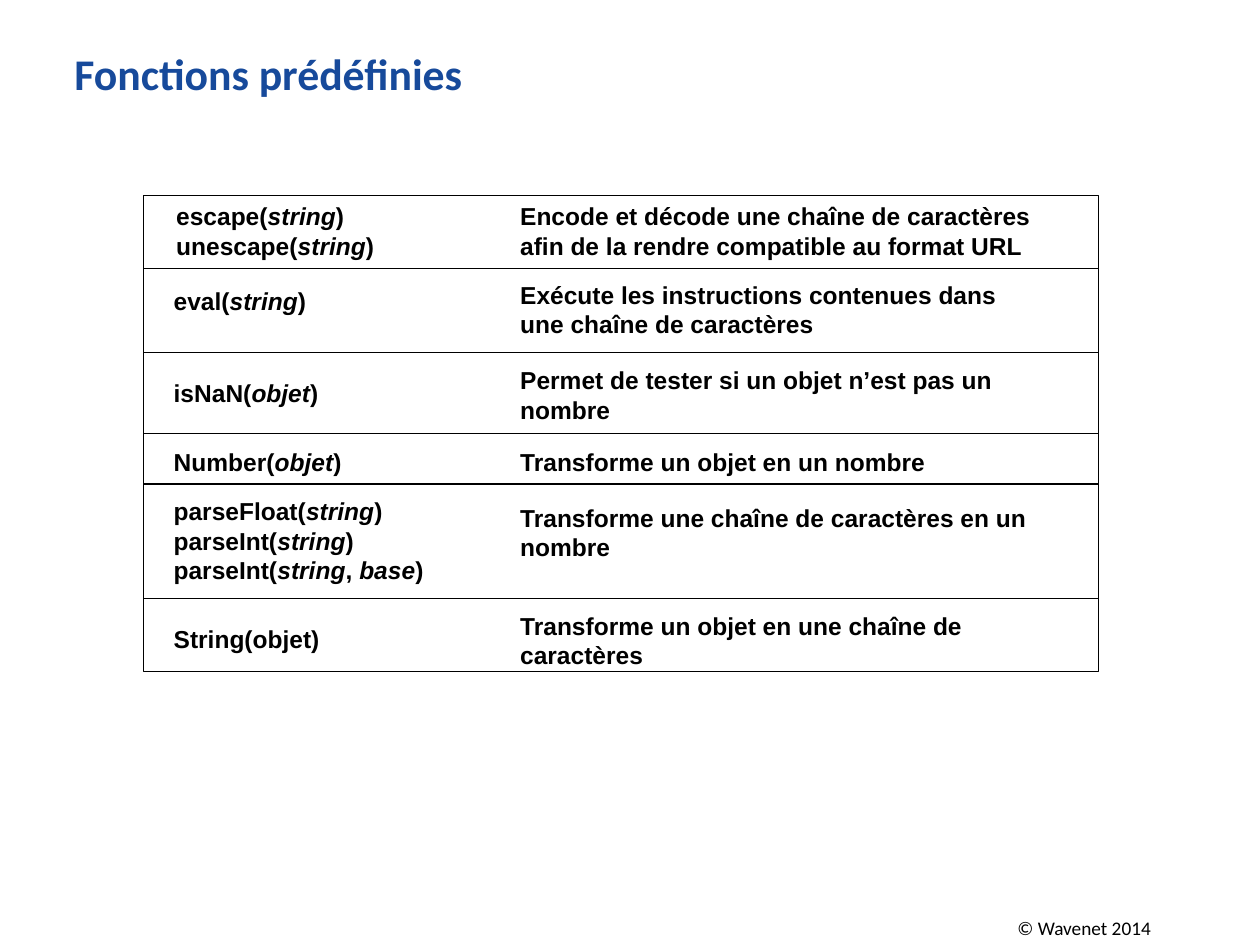
from pptx import Presentation
from pptx.dml.color import RGBColor
from pptx.enum.shapes import MSO_SHAPE as Shape
from pptx.enum.text import MSO_ANCHOR as Anchor, PP_ALIGN as Align
from pptx.util import Pt

PX = 9144  # 100 px to the inch
BLUE = RGBColor(0x17, 0x4A, 0x9B)
BLACK = RGBColor(0, 0, 0)


def style(font, name, size, color, bold=False):
    font.name, font.size, font.bold = name, Pt(size), bold
    font.color.rgb = color


def add_text(page, left, top, width, height, text):
    """Add a text box; parts between asterisks are italic."""
    box = page.shapes.add_textbox(left * PX, top * PX, width * PX, height * PX)
    frame = box.text_frame
    frame.word_wrap = True
    for index, line in enumerate(text.split("\n")):
        para = frame.add_paragraph() if index else frame.paragraphs[0]
        for part, words in enumerate(line.split("*")):
            span = para.add_run()
            span.text = words
            style(span.font, "Arial", 14, BLACK, bold=True)
            span.font.italic = part % 2 == 1


deck = Presentation()
deck.slide_width, deck.slide_height = 1000 * PX, 750 * PX
page = deck.slides.add_slide(deck.slide_layouts[5])

# Title
title = page.shapes.title
title.left, title.top, title.width, title.height = 49 * PX, 32 * PX, 901 * PX, 64 * PX
frame = title.text_frame
frame.text = "Fonctions prédéfinies"
frame.vertical_anchor = Anchor.TOP
frame.paragraphs[0].alignment = Align.LEFT
style(frame.paragraphs[0].runs[0].font, "Calibri", 25, BLUE, bold=True)

# Function rows: row height, then left, top, width, height and text of the
# function, then top, height and text of its description
rows = [
    (58, (130, 155, 208, 57, "escape(*string*)\nunescape(*string*)"),
     (155, 57, "Encode et décode une chaîne de caractères afin de la rendre compatible au format URL")),
    (67, (128, 222, 208, 57, "eval(*string*)"),
     (217, 57, "Exécute les instructions contenues dans une chaîne de caractères")),
    (64, (128, 295, 208, 33, "isNaN(*objet*)"),
     (285, 57, "Permet de tester si un objet n’est pas un nombre")),
    (40, (128, 350, 208, 33, "Number(*objet*)"),
     (350, 33, "Transforme un objet en un nombre")),
    (91, (128, 389, 233, 81, "parseFloat(*string*)\nparseInt(*string*)\nparseInt(*string*, *base*)"),
     (394, 81, "Transforme une chaîne de caractères en un nombre")),
    (58, (128, 490, 208, 33, "String(objet)"),
     (480, 57, "Transforme un objet en une chaîne de caractères")),
]
for _, function, (top, height, description) in rows:
    add_text(page, *function)
    add_text(page, 403, top, 425, height, description)

# Row frames, stacked without gaps
row_top = 155
for row_height, _, _ in rows:
    border = page.shapes.add_shape(
        Shape.RECTANGLE, 114 * PX, row_top * PX, 758 * PX, row_height * PX)
    border.shadow.inherit = False
    border.fill.background()
    border.line.color.rgb = BLACK
    border.line.width = Pt(0.75)
    row_top += row_height

# Copyright line
footer = page.shapes.add_textbox(744 * PX, 726 * PX, 233 * PX, 21 * PX)
frame = footer.text_frame
frame.word_wrap = True
frame.vertical_anchor = Anchor.MIDDLE
frame.margin_left = frame.margin_right = 9 * PX
frame.margin_top = frame.margin_bottom = 4 * PX
frame.text = "© Wavenet 2014"
frame.paragraphs[0].alignment = Align.CENTER
style(frame.paragraphs[0].runs[0].font, "Calibri", 11, BLACK)

deck.save("out.pptx")
